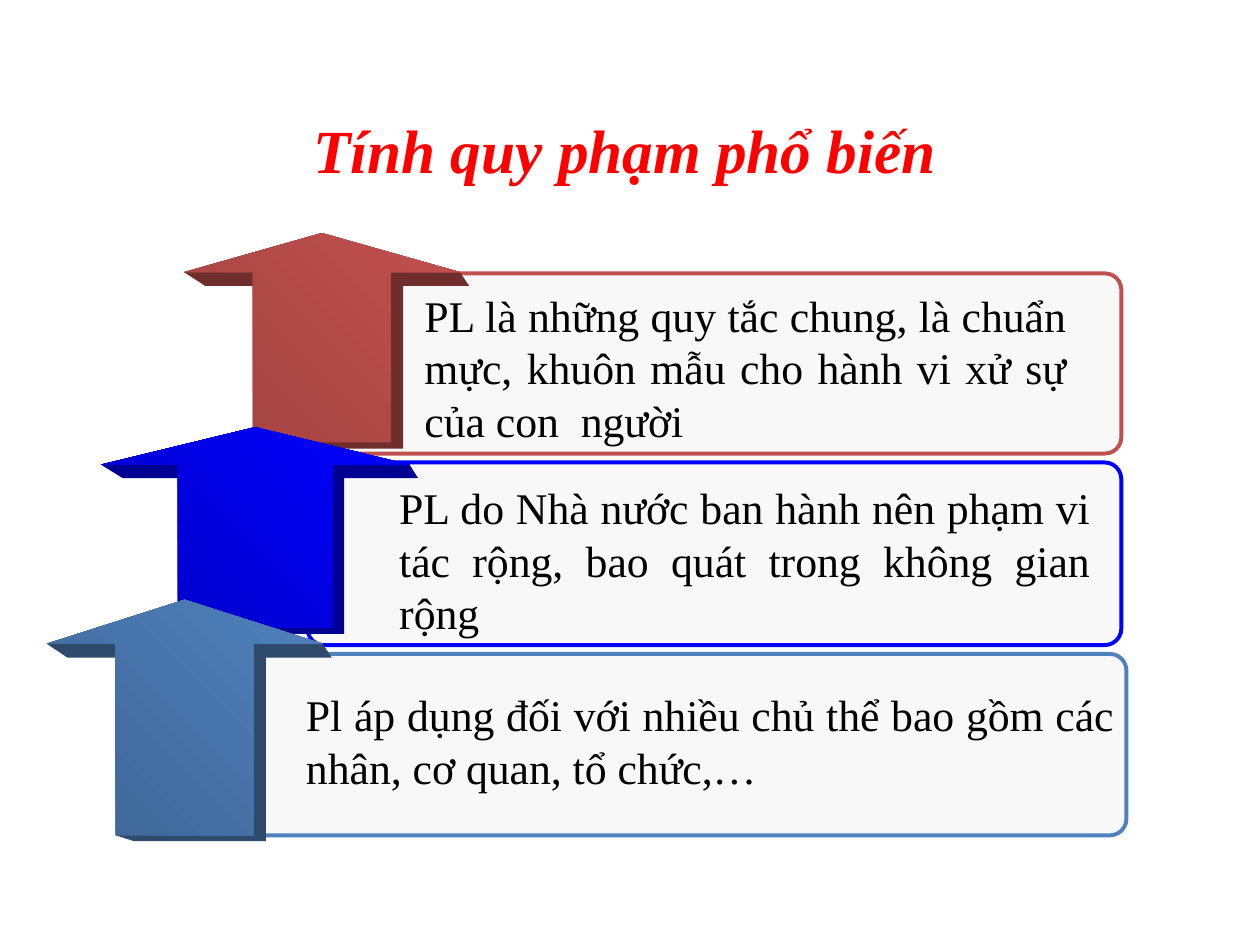
from pptx import Presentation
from pptx.dml.color import RGBColor
from pptx.enum.shapes import MSO_SHAPE as Shape
from pptx.enum.text import MSO_AUTO_SIZE as Fit, PP_ALIGN as Align
from pptx.util import Inches, Pt

FONT = "Times New Roman"
DEPTH = 0.043
DRIFT = (2.8, 2.0)
HEAD = 0.187


def color(code):
    return RGBColor.from_string(code)


def add_text(slide, box, text, size, code, align, wrap=True, strong=False):
    shape = slide.shapes.add_textbox(*map(Inches, box))
    frame = shape.text_frame
    frame.word_wrap = wrap
    frame.auto_size = Fit.SHAPE_TO_FIT_TEXT
    frame.text = text
    para = frame.paragraphs[0]
    para.alignment = align
    font = para.runs[0].font
    font.name = FONT
    font.size = Pt(size)
    font.bold = font.italic = strong
    font.color.rgb = color(code)


def add_panel(slide, box, edge):
    panel = slide.shapes.add_shape(Shape.ROUNDED_RECTANGLE, *map(Inches, box))
    panel.adjustments[0] = 0.091
    panel.shadow.inherit = False
    panel.fill.solid()
    panel.fill.fore_color.rgb = color("F8F8F8")
    panel.line.color.rgb = color(edge)
    panel.line.width = Pt(2.25)


def add_side(slide, box, code):
    left, top, width, height = box
    goal = (left + width / 2 + DRIFT[0], top + height / 2 + DRIFT[1])

    def front(across, down):
        return left + across * width, top + down * height

    def back(across, down):
        return tuple(a + DEPTH * (b - a) for a, b in zip(front(across, down), goal))

    points = [
        front(0.5, 0), front(0, HEAD), back(0, HEAD), back(0.25, HEAD),
        front(0.25, HEAD), front(0.25, 1), back(0.25, 1), back(0.75, 1),
        back(0.75, HEAD), back(1, HEAD), front(1, HEAD),
    ]
    points = [(Inches(x), Inches(y)) for x, y in points]
    path = slide.shapes.build_freeform(*points[0])
    path.add_line_segments(points[1:], close=True)
    side = path.convert_to_shape()
    side.shadow.inherit = False
    side.fill.solid()
    side.fill.fore_color.rgb = color(code)
    side.line.fill.background()


def add_arrow(slide, box, dark, light, shade):
    add_side(slide, box, shade)
    arrow = slide.shapes.add_shape(Shape.UP_ARROW, *map(Inches, box))
    arrow.adjustments[0] = 0.5
    arrow.adjustments[1] = HEAD * box[3] / min(box[2:])
    arrow.shadow.inherit = False
    arrow.line.fill.background()
    arrow.fill.gradient()
    arrow.fill.gradient_angle = 45
    for stop, code in zip(arrow.fill.gradient_stops, (dark, light)):
        stop.color.rgb = color(code)


def main():
    deck = Presentation()
    deck.slide_width, deck.slide_height = Inches(10), Inches(7.5)
    slide = deck.slides.add_slide(deck.slide_layouts[6])

    add_panel(slide, (2.5, 2.17, 6.4, 1.43), "C0504D")
    add_panel(slide, (2.44, 3.67, 6.46, 1.45), "0000FF")
    add_arrow(slide, (1.46, 1.85, 2.19, 1.66), "A14340", "C0504D", "6F2E2C")
    add_arrow(slide, (0.8, 3.39, 2.45, 1.59), "0000C6", "0000FF", "000093")
    add_panel(slide, (1.77, 5.19, 7.17, 1.44), "4F81BD")
    add_arrow(slide, (0.37, 4.76, 2.19, 1.87), "3E6594", "4F81BD", "2E4A6D")

    add_text(slide, (2.36, 0.84, 5.2, 0.69), "Tính quy phạm phổ biến",
             35, "FF0000", Align.CENTER, wrap=False, strong=True)
    notes = [
        ((3.27, 2.24, 5.29, 1.36),
         "PL là những quy tắc chung, là chuẩn mực, khuôn mẫu cho hành vi xử sự của con  người"),
        ((3.07, 3.77, 5.68, 1.36),
         "PL do Nhà nước ban hành nên phạm vi tác rộng, bao quát trong không gian rộng"),
        ((2.33, 5.41, 6.61, 0.94),
         "Pl áp dụng đối với nhiều chủ thể bao gồm các nhân, cơ quan, tổ chức,…"),
    ]
    for box, text in notes:
        add_text(slide, box, text, 25, "000000", Align.JUSTIFY)

    deck.save("out.pptx")


if __name__ == "__main__":
    main()
